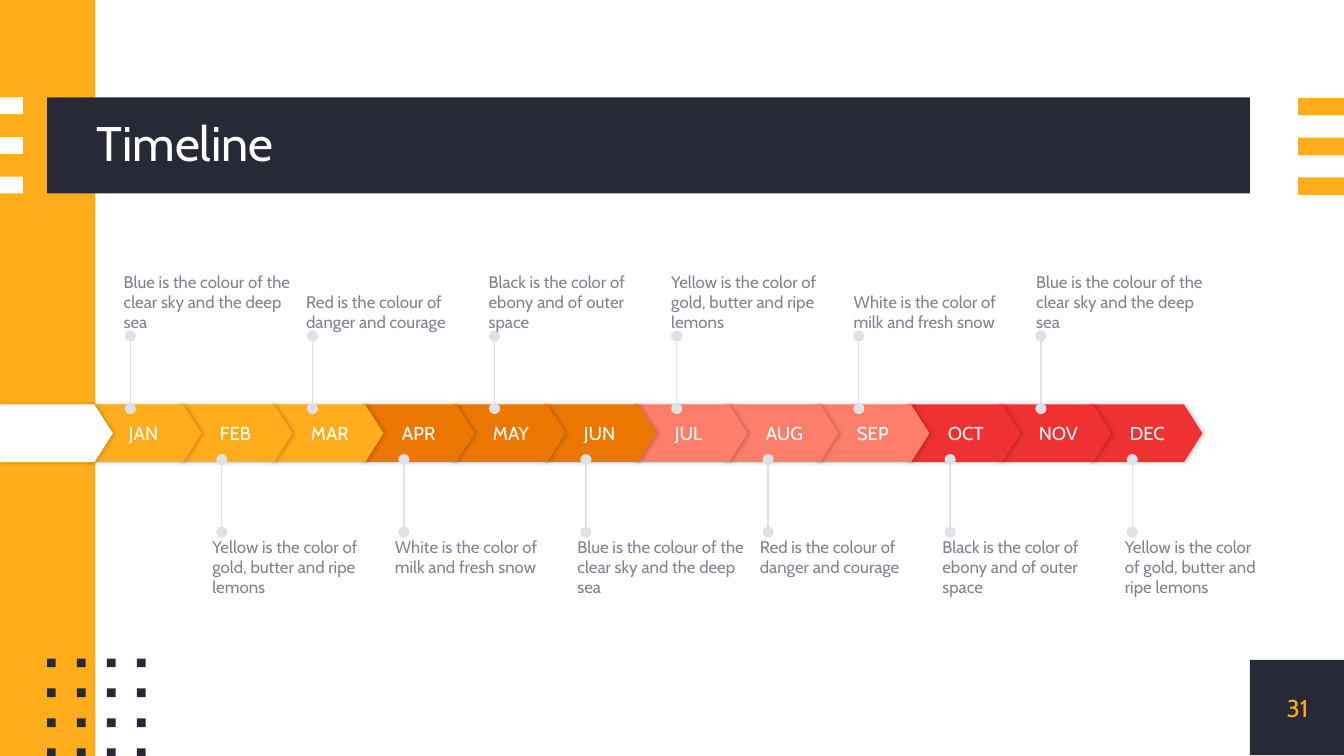
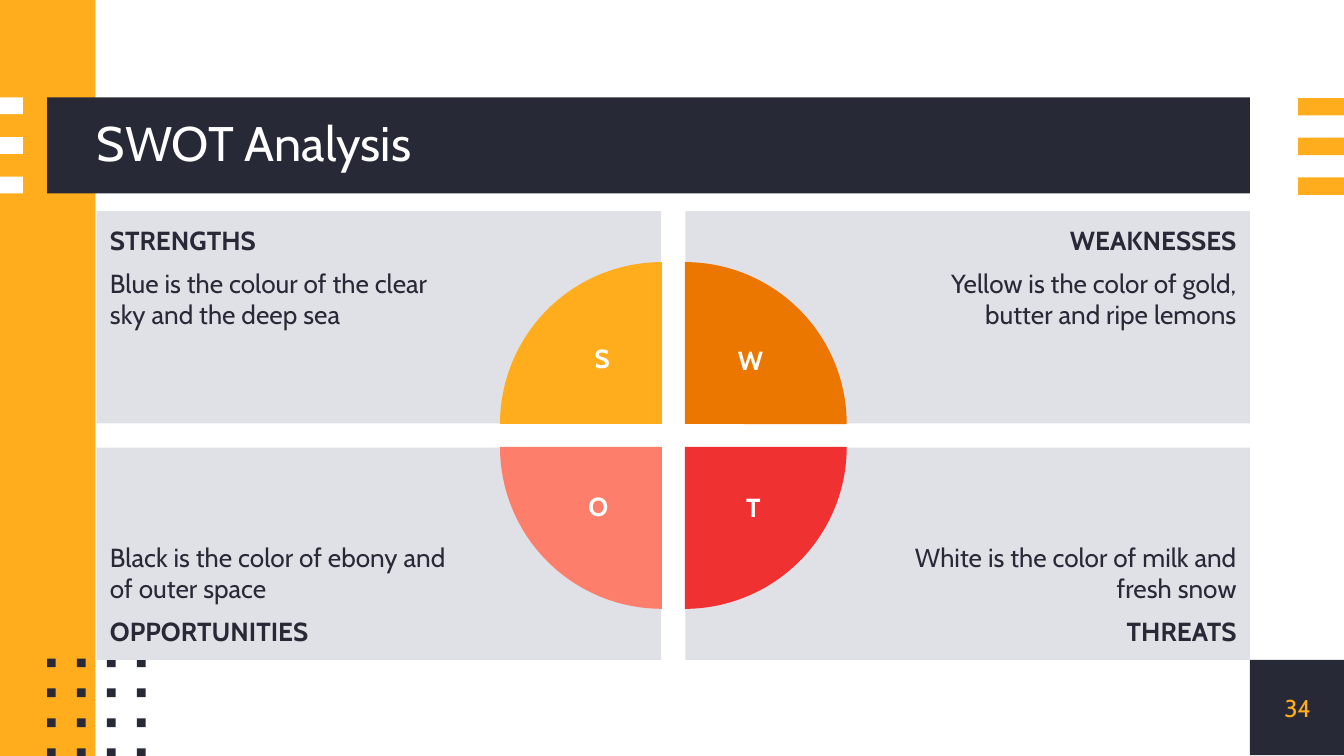
"""Build a timeline slide and a SWOT slide that share one framed layout."""
from lxml.etree import SubElement
from pptx import Presentation
from pptx.dml.color import RGBColor
from pptx.enum.shapes import MSO_CONNECTOR, MSO_SHAPE
from pptx.enum.text import MSO_ANCHOR, MSO_AUTO_SIZE, PP_ALIGN
from pptx.oxml.ns import qn
from pptx.util import Inches, Pt

COLORS = {
    "dark": "272A36",
    "white": "FFFFFF",
    "yellow": "FFAD1D",
    "orange": "EB7700",
    "coral": "FD7E6B",
    "red": "F03131",
    "pale": "E0E0E7",
    "gray": "808392",
}
FONT = "Cabin"
COLUMNS, ROWS = 100, 56.25
CELL = Inches(10) / COLUMNS


def add_box(page, kind, left, top, width, height, fill=None):
    """Add a preset shape, or a text box when kind is None, in grid cells."""
    area = [round(cells * CELL) for cells in (left, top, width, height)]
    if kind is None:
        return page.shapes.add_textbox(*area)
    box = page.shapes.add_shape(kind, *area)
    box.shadow.inherit = False
    box.fill.solid()
    box.fill.fore_color.rgb = RGBColor.from_string(COLORS[fill])
    box.line.fill.background()
    return box


def write(box, lines, size, color, align=PP_ALIGN.LEFT, anchor=MSO_ANCHOR.MIDDLE,
          insets=(0, 0, 0, 0)):
    """Fill a shape with (text, bold) lines, one paragraph each."""
    frame = box.text_frame
    frame.word_wrap = True
    frame.auto_size = MSO_AUTO_SIZE.NONE
    frame.vertical_anchor = anchor
    frame.margin_left, frame.margin_top, frame.margin_right, frame.margin_bottom = (
        Inches(inset) for inset in insets)
    for index, (text, bold) in enumerate(lines):
        para = frame.add_paragraph() if index else frame.paragraphs[0]
        para.alignment = align
        if index:
            para.space_before = para.space_after = Pt(6)
        span = para.add_run()
        span.text = text
        span.font.name = FONT
        span.font.size = Pt(size)
        span.font.bold = bold
        span.font.color.rgb = RGBColor.from_string(COLORS[color])


deck = Presentation()
deck.slide_width = round(COLUMNS * CELL)
deck.slide_height = round(ROWS * CELL)
layout = deck.slide_layouts[5]
timeline = deck.slides.add_slide(layout)
swot = deck.slides.add_slide(layout)

frame_parts = [
    add_box(timeline, MSO_SHAPE.RECTANGLE, 93, 49.1, 7, 7.1, "dark"),
    add_box(timeline, MSO_SHAPE.RECTANGLE, 0, 0, 7.1, ROWS, "yellow"),
    add_box(timeline, MSO_SHAPE.RECTANGLE, 3.5, 7.25, 89.5, 7.15, "dark"),
]
for row in range(3):
    top = 7.3 + 2.95 * row
    frame_parts.append(add_box(timeline, MSO_SHAPE.RECTANGLE, 0, top - 0.05, 1.7, 1.25, "white"))
    frame_parts.append(add_box(timeline, MSO_SHAPE.RECTANGLE, 96.6, top, 3.4, 1.3, "yellow"))
for row in range(4):
    for column in range(4):
        frame_parts.append(add_box(timeline, MSO_SHAPE.RECTANGLE, 3.5 + 2.23 * column,
                                   49 + 2.23 * row, 0.65, 0.65, "dark"))
for part in frame_parts:
    layout.shapes._spTree.append(part._element)

for page, heading, number in ((timeline, "Timeline", "31"), (swot, "SWOT Analysis", "34")):
    title = page.shapes.title
    title.left, title.top, title.width, title.height = (
        round(cells * CELL) for cells in (7.2, 7.3, 85.8, 7.1))
    write(title, [(heading, False)], 26, "white")
    title.text_frame.paragraphs[0].line_spacing = 0.9
    number_box = add_box(page, None, 93, 49.1, 7.1, 7.1)
    write(number_box, [(number, False)], 13, "yellow", PP_ALIGN.CENTER)

MONTHS = ["JAN", "FEB", "MAR", "APR", "MAY", "JUN",
          "JUL", "AUG", "SEP", "OCT", "NOV", "DEC"]
QUARTERS = ["yellow", "orange", "coral", "red"]
arrows = [(6.6 + 6.77 * index, month, QUARTERS[index // 3])
          for index, month in enumerate(MONTHS)]
for left, month, fill in arrows[::-1] + [(0, None, "white")]:
    arrow = add_box(timeline, MSO_SHAPE.PENTAGON, left, 30.1, 8.4, 4.3, fill)
    arrow.adjustments[0] = 0.32
    effects = arrow._element.spPr.find(qn("a:effectLst"))
    shadow = SubElement(effects, qn("a:outerShdw"), blurRad=str(Pt(2.2)), dist=str(Pt(0.8)),
                        dir="0", algn="ctr", rotWithShape="0")
    tint = SubElement(shadow, qn("a:srgbClr"), val="000000")
    SubElement(tint, qn("a:alpha"), val="20000")
    if month:
        write(arrow, [(month, False)], 10, "white", insets=(0.3, 0, 0, 0))

BLUE = "Blue is the colour of the clear sky and the deep sea"
RED = "Red is the colour of danger and courage"
BLACK = "Black is the color of ebony and of outer space"
YELLOW = "Yellow is the color of gold, butter and ripe lemons"
WHITE = "White is the color of milk and fresh snow"
NOTE_STEP, PIN_STEP = 13.58, 13.55
note_rows = [
    (9.2, 18.9, MSO_ANCHOR.BOTTOM, 9.7, 30.4, 25, [BLUE, RED, BLACK, YELLOW, WHITE, BLUE]),
    (15.8, 39.9, MSO_ANCHOR.TOP, 16.5, 39.6, 34.2, [YELLOW, WHITE, BLUE, RED, BLACK, YELLOW]),
]
for note_left, note_top, anchor, pin_left, pin_start, pin_end, notes in note_rows:
    for index, note in enumerate(notes):
        pin_x = pin_left + PIN_STEP * index
        pin = timeline.shapes.add_connector(MSO_CONNECTOR.STRAIGHT, *(
            round(cells * CELL) for cells in (pin_x, pin_start, pin_x, pin_end)))
        pin.line.width = Pt(0.75)
        pin.line.color.rgb = RGBColor.from_string(COLORS["pale"])
        for end in ("a:headEnd", "a:tailEnd"):
            SubElement(pin.line._get_or_add_ln(), qn(end), type="oval")
        SubElement(pin._element.spPr, qn("a:effectLst"))
        left = note_left + NOTE_STEP * index
        note_box = add_box(timeline, None, left, note_top, min(12.8, 94.4 - left), 5.8)
        write(note_box, [(note, False)], 9, "gray", anchor=anchor)

panels = [
    (7.2, 15.7, [("STRENGTHS", True), (BLUE, False)]),
    (51, 15.7, [("WEAKNESSES", True), (YELLOW, False)]),
    (7.2, 33.3, [(BLACK, False), ("OPPORTUNITIES", True)]),
    (51, 33.3, [(WHITE, False), ("THREATS", True)]),
]
for left, top, lines in panels:
    panel = add_box(swot, MSO_SHAPE.RECTANGLE, left, top, 42, 15.8, "pale")
    on_left, on_top = left < 50, top < 30
    write(panel, lines, 14, "dark",
          PP_ALIGN.LEFT if on_left else PP_ALIGN.RIGHT,
          MSO_ANCHOR.TOP if on_top else MSO_ANCHOR.BOTTOM,
          (0.1, 0.1, 1.5, 0.1) if on_left else (1.5, 0.1, 0.1, 0.1))

wedges = [(37.2, 19.5, "yellow"), (38.9, 19.5, "orange"),
          (38.9, 21.2, "red"), (37.2, 21.2, "coral")]
for turn, (left, top, fill) in enumerate(wedges):
    wedge = add_box(swot, MSO_SHAPE.PIE, left, top, 24.1, 24.1, fill)
    wedge.adjustments[0], wedge.adjustments[1] = 108, 162
    wedge.rotation = 90 * turn

letters = [("S", 43.2, 24.5, 3.2), ("W", 53.3, 24.6, 5.1),
           ("O", 42.8, 35.5, 3.3), ("T", 54.4, 35.6, 3.3)]
for letter, left, top, width in letters:
    letter_box = add_box(swot, None, left, top, width, 4.4)
    write(letter_box, [(letter, True)], 14, "white", PP_ALIGN.CENTER, MSO_ANCHOR.TOP,
          (0.1, 0.1, 0.1, 0.1))

deck.save("out.pptx")
